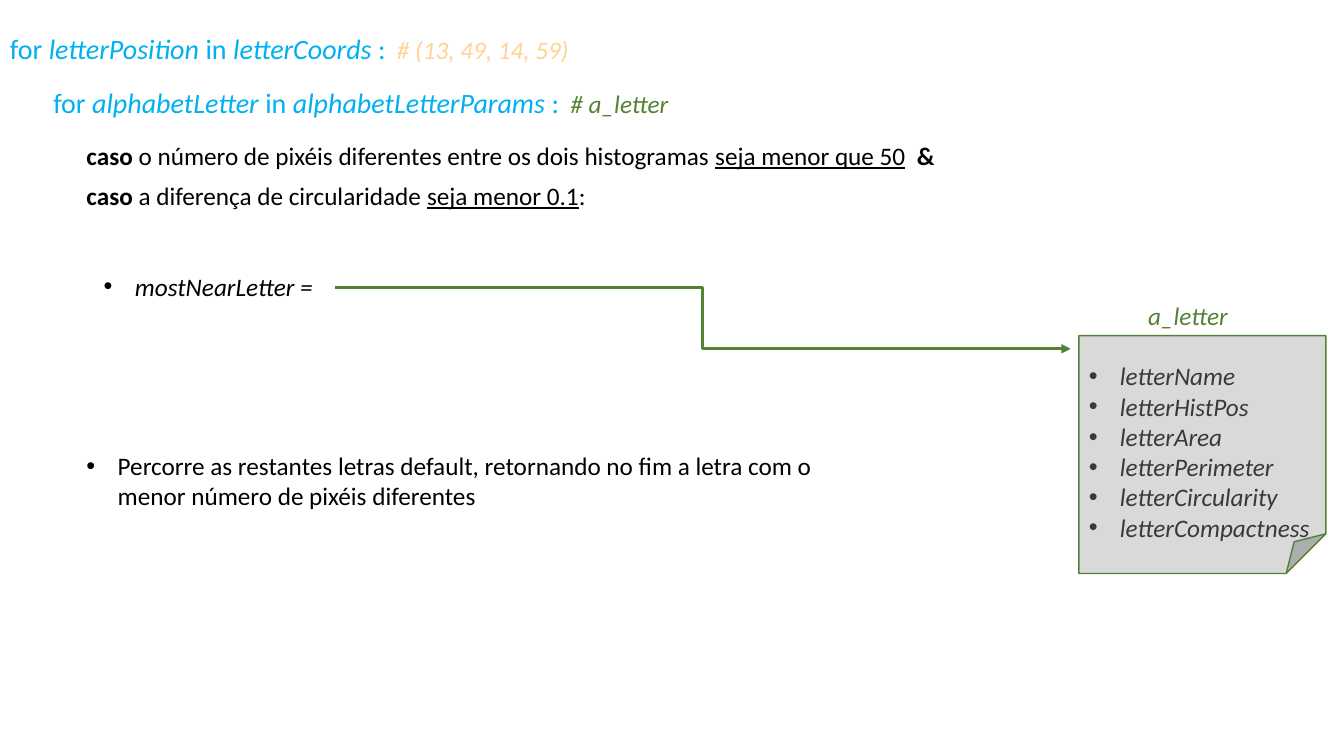
import pptx
import pptx.util
import pptx.dml.color
import pptx.enum.shapes
import pptx.oxml.ns
from lxml import etree

Inches, Pt = pptx.util.Inches, pptx.util.Pt
qn = pptx.oxml.ns.qn

FONT = "Calibri"
COLORS = {
    "loop": "00B0F0",
    "coords": "FFD393",
    "green": "548235",
    "note": "D9D9D9",
    "field": "3B3838",
    "text": "000000",
}
LINE_H = 0.4
BULLET_INDENT = 0.31


def rgb(name):
    return pptx.dml.color.RGBColor.from_string(COLORS[name])


def add_bullet(p):
    pPr = p._p.get_or_add_pPr()
    pPr.set("marL", str(Inches(BULLET_INDENT)))
    pPr.set("indent", str(-Inches(BULLET_INDENT)))
    etree.SubElement(pPr, qn("a:buFont"), typeface="Arial")
    etree.SubElement(pPr, qn("a:buChar"), char="•")


def add_text(s, box, paragraphs, bullet=False):
    """Each paragraph is a list of runs: (text, styles from "biu", color, size)."""
    tf = s.shapes.add_textbox(*map(Inches, box)).text_frame
    tf.word_wrap = True
    for i, runs in enumerate(paragraphs):
        p = tf.add_paragraph() if i else tf.paragraphs[0]
        if bullet:
            add_bullet(p)
        for text, styles, color, size in runs:
            r = p.add_run()
            r.text = text
            r.font.name, r.font.size = FONT, Pt(size)
            r.font.color.rgb = rgb(color)
            r.font.bold = "b" in styles
            r.font.italic = "i" in styles
            r.font.underline = "u" in styles


def body(text, styles="", color="text"):
    return text, styles, color, 18


def loop_header(s, box, item, items, comment, comment_color):
    parts = [("for", ""), (f" {item} ", "i"), ("in ", ""), (items, "i"), (" :", "")]
    runs = [(text, styles, "loop", 20) for text, styles in parts]
    add_text(s, box, [runs + [body("  "), body(comment, "i", comment_color)]])


def conditions(s, left, top, width):
    lines = [
        [body("caso", "b"),
         body(" o número de pixéis diferentes entre os dois histogramas "),
         body("seja menor que 50", "u"), body("  "), body("&", "b")],
        [body("caso", "b"), body(" a diferença de circularidade "),
         body("seja menor 0.1", "u"), body(":")],
    ]
    for i, runs in enumerate(lines):
        add_text(s, (left, top + i * LINE_H, width, LINE_H), [runs])


def letter_note(s, left, top, width, height):
    note = s.shapes.add_shape(pptx.enum.shapes.MSO_SHAPE.FOLDED_CORNER,
                              *map(Inches, (left, top, width, height)))
    note.shadow.inherit = False
    note.fill.solid()
    note.fill.fore_color.rgb = rgb("note")
    note.line.color.rgb = rgb("green")
    note.line.width = Pt(1)
    add_text(s, (left + 0.59, top - LINE_H, 1.27, LINE_H),
             [[body("a_letter", "i", "green")]])
    fields = ["Name", "HistPos", "Area", "Perimeter", "Circularity", "Compactness"]
    add_text(s, (left, top + 0.2, width, 1.92),
             [[body("letter" + field, "i", "field")] for field in fields], bullet=True)


def elbow_arrow(s, start, end):
    arrow = s.shapes.add_connector(pptx.enum.shapes.MSO_CONNECTOR.ELBOW,
                                   *map(Inches, start + end))
    arrow.line.color.rgb = rgb("green")
    arrow.line.width = Pt(2.25)
    etree.SubElement(arrow.line._get_or_add_ln(), qn("a:tailEnd"), type="triangle")
    etree.SubElement(arrow._element.spPr, qn("a:effectLst"))


def main():
    prs = pptx.Presentation()
    prs.slide_width, prs.slide_height = Inches(13.33), Inches(7.5)
    s = prs.slides.add_slide(prs.slide_layouts[6])

    loop_header(s, (0, 0.26, 9.55, 0.44), "letterPosition", "letterCoords",
                "# (13, 49, 14, 59)", "coords")
    loop_header(s, (0.43, 0.8, 9.55, 0.44), "alphabetLetter", "alphabetLetterParams",
                "# a_letter", "green")
    letter_note(s, 10.7, 3.33, 2.45, 2.36)
    conditions(s, 0.76, 1.34, 10.06)
    add_text(s, (0.93, 2.64, 4.19, LINE_H), [[body("mostNearLetter =", "i")]], bullet=True)
    elbow_arrow(s, (3.32, 2.85), (10.62, 3.46))
    add_text(s, (0.76, 4.42, 7.94, 0.71),
             [[body("Percorre as restantes letras default, retornando no fim "
                    "a letra com o menor número de pixéis diferentes")]], bullet=True)
    prs.save("out.pptx")


if __name__ == "__main__":
    main()
